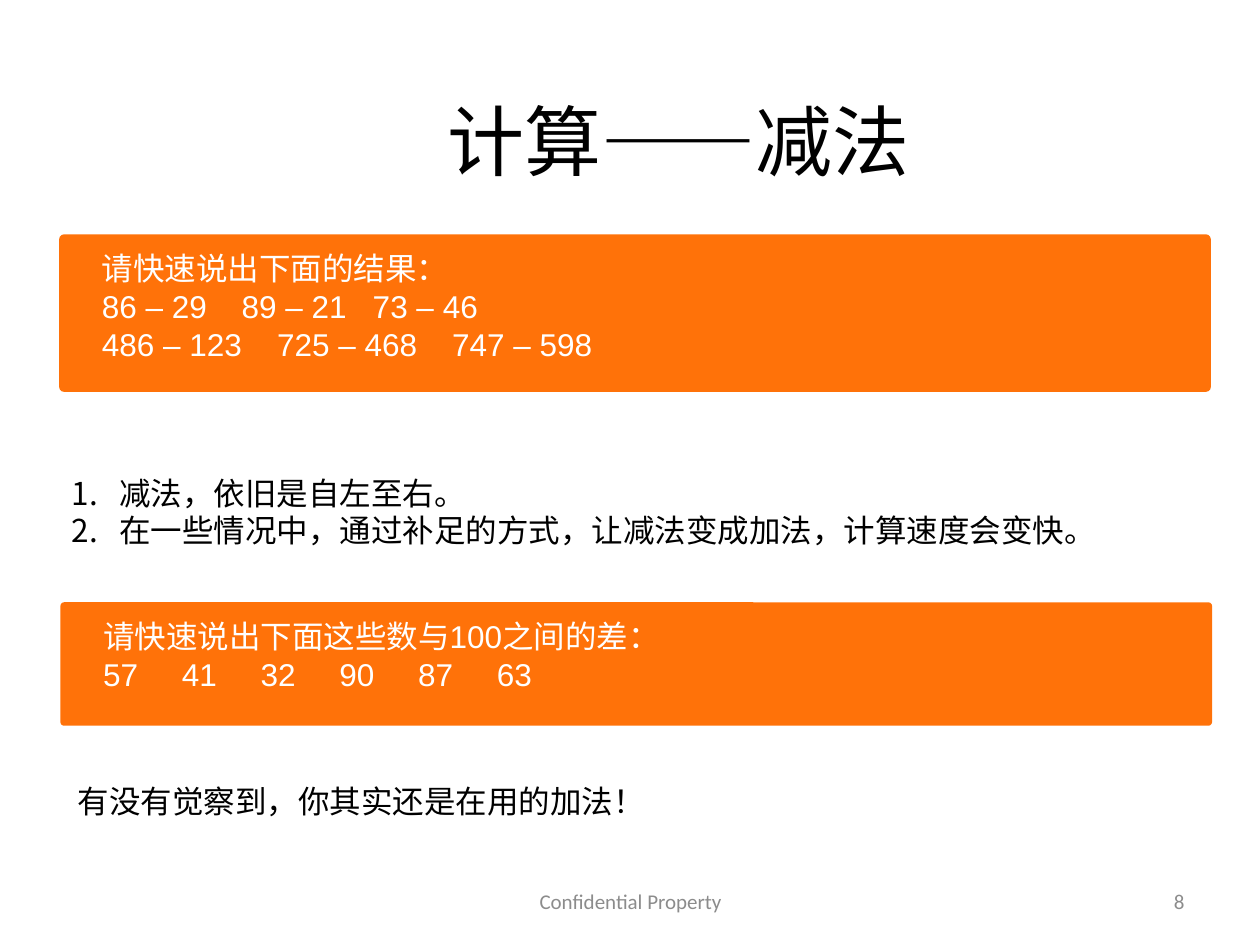
import pptx
import pptx.util
import pptx.dml.color
import pptx.enum.lang
import pptx.enum.shapes
import pptx.enum.text
import pptx.oxml.ns
from lxml import etree
from pptx.util import Inches

ORANGE, WHITE, BLACK, GREY = "FF7209", "FFFFFF", "000000", "8C8C8C"
ALIGN = pptx.enum.text.PP_ALIGN
ANCHOR = pptx.enum.text.MSO_ANCHOR

PANELS = [(0.47, 1.86, 9.14, 1.25), (0.48, 4.78, 9.14, 0.98)]

TEXTS = [
    ((3.42, 6.95, 3.17, 0.4), ["Confidential Property"],
     dict(size=12, font="Calibri", color=GREY, align=ALIGN.CENTER, anchor=ANCHOR.MIDDLE)),
    ((7.17, 6.95, 2.33, 0.4), ["8"],
     dict(size=12, font="Calibri", color=GREY, align=ALIGN.RIGHT, anchor=ANCHOR.MIDDLE)),
    ((1.85, 0.69, 7.07, 0.84), ["计算——减法"], dict(size=44, align=ALIGN.CENTER)),
    ((0.71, 1.93, 8.69, 1.01),
     ["请快速说出下面的结果：",
      "86 – 29\t89 – 21\t73 – 46",
      "486 – 123\t725 – 468\t747 – 598"],
     dict(color=WHITE, tabs={1: [1.11, 2.15], 2: [1.39, 2.78]})),
    ((0.47, 3.71, 9.03, 1.01),
     ["减法，依旧是自左至右。",
      "在一些情况中，通过补足的方式，让减法变成加法，计算速度会变快。"],
     dict(numbered=True)),
    ((0.72, 4.85, 8.69, 0.71),
     ["请快速说出下面这些数与100之间的差：", "57\t41\t32\t90\t87\t63"],
     dict(color=WHITE, tabs={1: [0.625 * stop for stop in range(1, 6)]})),
    ((0.52, 6.16, 9.03, 0.4), ["有没有觉察到，你其实还是在用的加法！"], {}),
]


def rgb(value):
    return pptx.dml.color.RGBColor.from_string(value)


def add_child(parent, tag, **attributes):
    child = etree.SubElement(parent, pptx.oxml.ns.qn(tag))
    for name, value in attributes.items():
        child.set(name, str(value))
    return child


def add_panel(page, place):
    panel = page.shapes.add_shape(
        pptx.enum.shapes.MSO_SHAPE.ROUNDED_RECTANGLE, *map(Inches, place))
    panel.adjustments[0] = 0.03
    panel.shadow.inherit = False
    panel.fill.solid()
    panel.fill.fore_color.rgb = rgb(ORANGE)
    panel.line.fill.background()


def add_text(page, place, lines, size=18, font="Arial", color=BLACK, align=ALIGN.LEFT,
             anchor=ANCHOR.TOP, numbered=False, tabs=None):
    box = page.shapes.add_textbox(*map(Inches, place))
    frame = box.text_frame
    frame.word_wrap = True
    frame.vertical_anchor = anchor
    for index, line in enumerate(lines):
        para = frame.paragraphs[0] if index == 0 else frame.add_paragraph()
        para.alignment = align
        properties = para._p.get_or_add_pPr()
        if numbered:
            properties.set("marL", str(Inches(0.38)))
            properties.set("indent", str(Inches(-0.38)))
            add_child(properties, "a:buFont", typeface=font)
            add_child(properties, "a:buAutoNum", type="arabicPeriod")
        stops = (tabs or {}).get(index)
        if stops:
            tab_list = add_child(properties, "a:tabLst")
            for stop in stops:
                add_child(tab_list, "a:tab", pos=Inches(stop), algn="l")
        span = para.add_run()
        span.text = line
        span.font.size = pptx.util.Pt(size)
        span.font.name = font
        span.font.color.rgb = rgb(color)
        span.font.language_id = pptx.enum.lang.MSO_LANGUAGE_ID.SIMPLIFIED_CHINESE


def main():
    deck = pptx.Presentation()
    deck.slide_width, deck.slide_height = Inches(10), Inches(7.5)
    page = deck.slides.add_slide(deck.slide_layouts[6])
    for place in PANELS:
        add_panel(page, place)
    for place, lines, style in TEXTS:
        add_text(page, place, lines, **style)
    deck.save("out.pptx")


if __name__ == "__main__":
    main()
